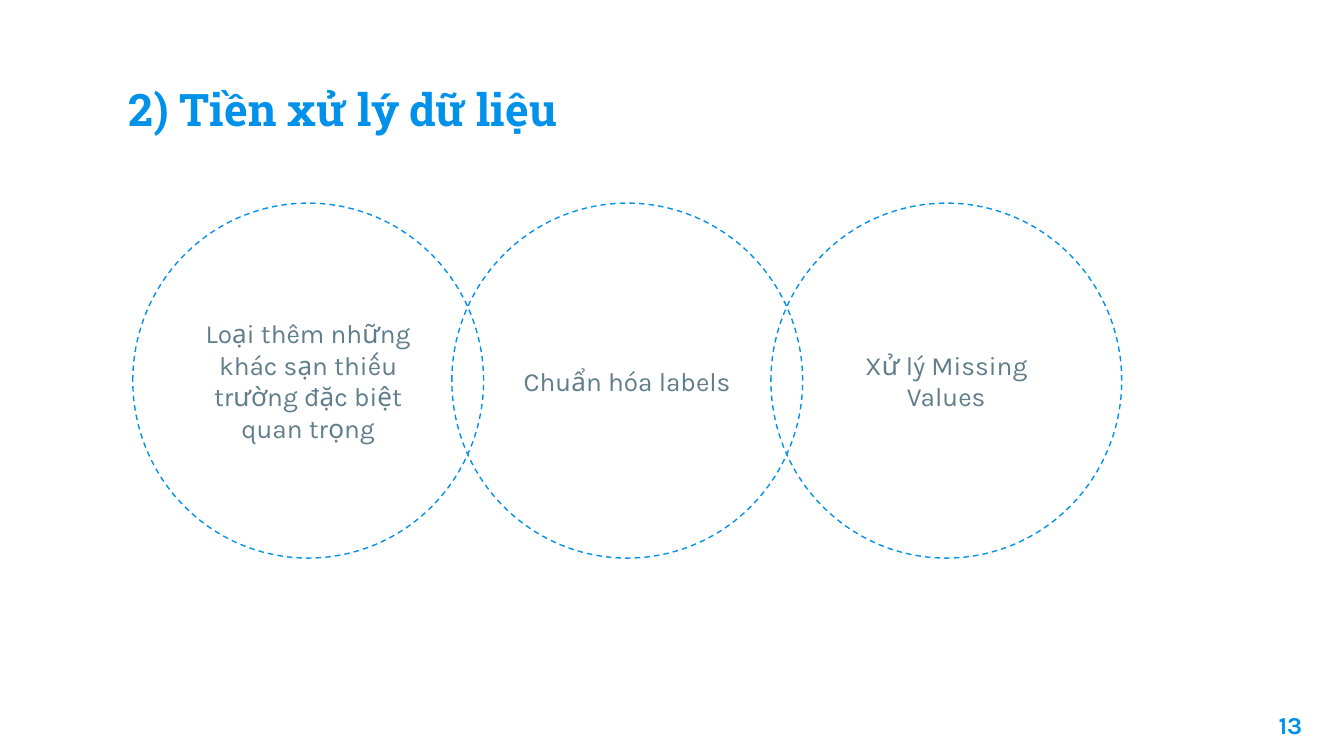
import dataclasses

import pptx
import pptx.dml.color
import pptx.enum.dml
import pptx.enum.shapes
import pptx.enum.text
import pptx.util

Cm = pptx.util.Cm
Align = pptx.enum.text.PP_ALIGN
Anchor = pptx.enum.text.MSO_ANCHOR


@dataclasses.dataclass(frozen=True)
class Theme:
    background: str = "FFFFFF"
    accent: str = "0091EA"
    body: str = "607D8B"
    title_font: str = "Roboto Slab"
    body_font: str = "Karla"
    title_size: float = 24
    body_size: float = 14
    number_size: float = 13
    line_width: float = 0.75
    inset: float = 0.25


def rgb(value):
    return pptx.dml.color.RGBColor.from_string(value)


class SlideBuilder:
    def __init__(self, slide, theme):
        self.slide = slide
        self.theme = theme
        fill = slide.background.fill
        fill.solid()
        fill.fore_color.rgb = rgb(theme.background)

    def set_text(self, shape, text, font_name, size, color, bold, align, anchor):
        frame = shape.text_frame
        frame.word_wrap = True
        frame.vertical_anchor = anchor
        frame.margin_left = frame.margin_right = Cm(self.theme.inset)
        frame.margin_top = frame.margin_bottom = Cm(self.theme.inset)
        paragraph = frame.paragraphs[0]
        paragraph.alignment = align
        run = paragraph.add_run()
        run.text = text
        run.font.name = font_name
        run.font.size = pptx.util.Pt(size)
        run.font.bold = bold
        run.font.color.rgb = rgb(color)

    def title(self, text, left, top, width, height):
        shape = self.slide.shapes.add_textbox(Cm(left), Cm(top), Cm(width), Cm(height))
        self.set_text(shape, text, self.theme.title_font, self.theme.title_size,
                      self.theme.accent, True, Align.LEFT, Anchor.BOTTOM)

    def page_number(self, text, left, top, width, height):
        shape = self.slide.shapes.add_textbox(Cm(left), Cm(top), Cm(width), Cm(height))
        self.set_text(shape, text, self.theme.body_font, self.theme.number_size,
                      self.theme.accent, True, Align.RIGHT, Anchor.TOP)

    def circle(self, text, left, top, width, height):
        shape = self.slide.shapes.add_shape(
            pptx.enum.shapes.MSO_SHAPE.OVAL, Cm(left), Cm(top), Cm(width), Cm(height))
        shape.shadow.inherit = False
        shape.fill.background()
        shape.line.color.rgb = rgb(self.theme.accent)
        shape.line.width = pptx.util.Pt(self.theme.line_width)
        shape.line.dash_style = pptx.enum.dml.MSO_LINE.DASH
        self.set_text(shape, text, self.theme.body_font, self.theme.body_size,
                      self.theme.body, False, Align.CENTER, Anchor.MIDDLE)


def main():
    presentation = pptx.Presentation()
    presentation.slide_width = Cm(25.4)
    presentation.slide_height = Cm(14.29)
    slide = presentation.slides.add_slide(presentation.slide_layouts[6])
    builder = SlideBuilder(slide, Theme())

    builder.title("2) Tiền xử lý dữ liệu", 2.18, 0.86, 21.03, 1.96)

    first_left, step = 2.51, 6.03
    steps = [
        "Loại thêm những khác sạn thiếu trường đặc biệt quan trọng",
        "Chuẩn hóa labels",
        "Xử lý Missing Values",
    ]
    for index, text in enumerate(steps):
        builder.circle(text, first_left + index * step, 3.84, 6.63, 6.71)

    builder.page_number("13", 23.34, 13.18, 1.52, 1.09)
    presentation.save("out.pptx")


if __name__ == "__main__":
    main()
